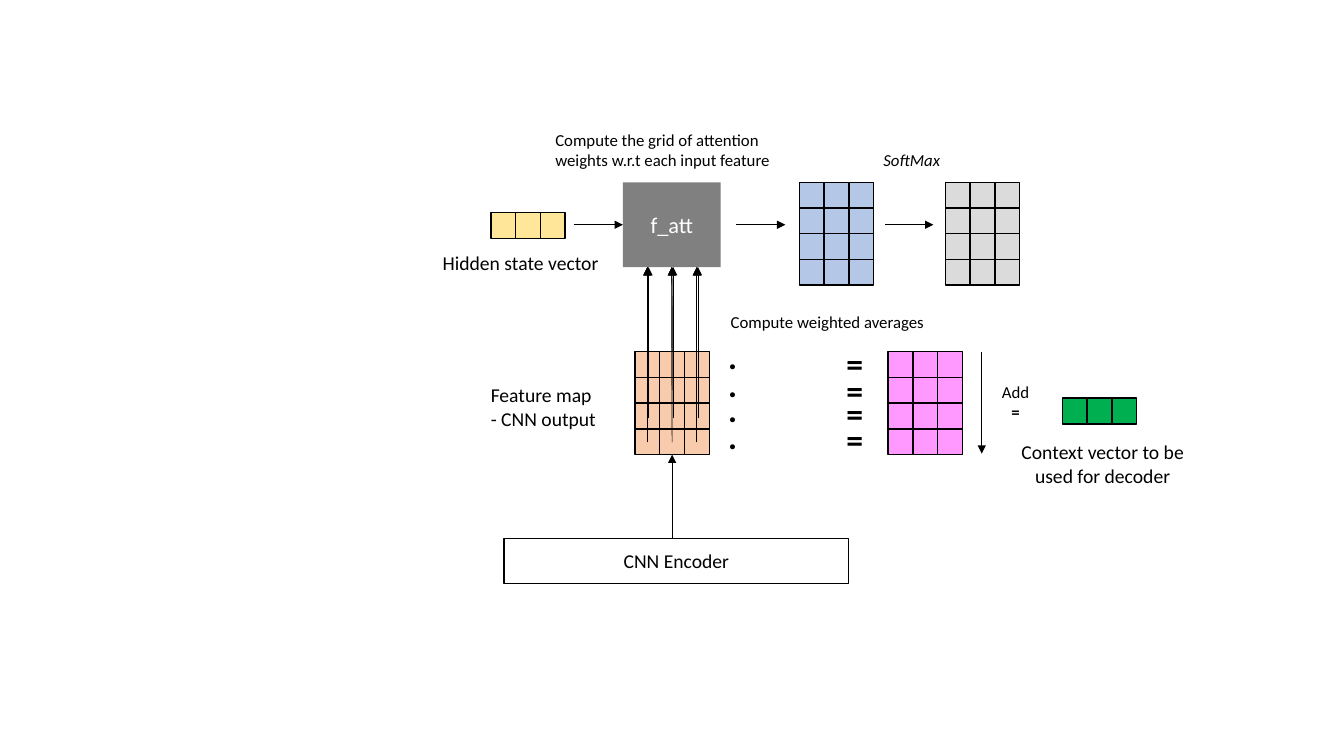
from dataclasses import dataclass
from lxml import etree
from pptx import Presentation
from pptx.dml.color import RGBColor
from pptx.enum.shapes import MSO_CONNECTOR, MSO_SHAPE
from pptx.enum.text import MSO_ANCHOR, PP_ALIGN
from pptx.oxml.ns import qn
from pptx.util import Inches, Pt

RECT, STRAIGHT = MSO_SHAPE.RECTANGLE, MSO_CONNECTOR.STRAIGHT
LEFT, CENTER, MIDDLE = PP_ALIGN.LEFT, PP_ALIGN.CENTER, MSO_ANCHOR.MIDDLE
SIDE_LEFT, SIDE_BOTTOM, SIDE_TOP = 1, 2, 0


@dataclass(frozen=True)
class Theme:
    font: str = "Calibri"
    ink: str = "000000"
    paper: str = "FFFFFF"
    block: str = "808080"
    hidden: str = "FFE699"
    feature: str = "F8CBAD"
    weights: str = "B4C7E7"
    softmax: str = "DBDBDB"
    weighted: str = "FF99FF"
    context: str = "00B050"
    small: int = 12
    body: int = 14
    large: int = 16
    sign: int = 24
    outline: float = 1
    arrow: float = 0.5


T = Theme()

# Positions are percentages of the slide's width and height.
COLS, CELL_W, CELL_H = 3, 1.84, 3.4
GRIDS = {
    "feature": (47.25, 46.53, 4),
    "weights": (59.48, 24.13, 4),
    "softmax": (70.35, 24.13, 4),
    "weighted": (66.08, 46.53, 4),
    "hidden": (36.53, 28.13, 1),
    "context": (79.05, 52.67, 1),
}
ENCODER = ("CNN Encoder", (37.5, 71.2, 25.65, 6))
ATTENTION = ("f_att", (46.35, 24.13, 7.28, 11.2))
ARROWS = [
    (54.75, 29.73, 58.43, 29.73),
    (65.85, 29.73, 69.45, 29.73),
    (73.05, 46.53, 73.05, 60),
]
HIDDEN_ARROW_X = 42.68
FEATURE_STARTS = [(46.53, 0), (51.6, 0), (55.33, 0.08), (58.53, 0)]

LABELS = [
    (["Add", "="], (73.8, 49.87, 3.53, 6.67), T.small, CENTER),
    (["Context vector to be used for decoder"], (74.4, 57.6, 15.3, 7.6), T.body, CENTER),
    (["Feature map", "- CNN output"], (35.78, 50, 9.6, 7.6), T.body, LEFT),
    (["Hidden state vector"], (31.35, 32.53, 14.78, 4.53), T.body, CENTER),
    (["SoftMax"], (64.95, 19.2, 5.78, 4), T.small, CENTER),
    (["Compute the grid of attention weights w.r.t each input feature"],
     (40.58, 16.53, 17.78, 6.67), T.small, LEFT),
    (["Compute weighted averages"], (53.63, 40.53, 16.58, 4), T.small, LEFT),
]
SIGNS = [
    (".", 53.44, 1.88, LEFT, [43.73, 47.47, 50.8, 54.4]),
    ("=", 62.33, 2.55, CENTER, [44.67, 48.27, 51.33, 54.8]),
]
BOLD, ITALIC = {".", "="}, {"SoftMax"}

prs = Presentation()
prs.slide_width, prs.slide_height = Inches(13.33), Inches(7.5)
s = prs.slides.add_slide(prs.slide_layouts[6])


def place(*shares):
    sizes = (prs.slide_width, prs.slide_height) * 2
    return [round(size * share / 100) for size, share in zip(sizes, shares)]


def write(tf, lines, size, color, align):
    tf.word_wrap = True
    tf.text = "\n".join(lines)
    for p in tf.paragraphs:
        p.alignment = align
        for r in p.runs:
            r.font.name, r.font.size = T.font, Pt(size)
            r.font.color.rgb = RGBColor.from_string(color)
            r.font.bold, r.font.italic = r.text in BOLD, r.text in ITALIC


def add_rect(box, fill, outline=True):
    sp = s.shapes.add_shape(RECT, *place(*box))
    sp.shadow.inherit = False
    sp.fill.solid()
    sp.fill.fore_color.rgb = RGBColor.from_string(fill)
    if outline:
        sp.line.color.rgb = RGBColor.from_string(T.ink)
        sp.line.width = Pt(T.outline)
    else:
        sp.line.fill.background()
    return sp


def add_block(block, fill, color, size, outline):
    text, box = block
    sp = add_rect(box, fill, outline)
    sp.text_frame.vertical_anchor = MIDDLE
    write(sp.text_frame, [text], size, color, CENTER)
    return sp


def add_grid(name):
    x, y, rows = GRIDS[name]
    return [[add_rect((x + col * CELL_W, y + row * CELL_H, CELL_W, CELL_H), getattr(T, name))
             for col in range(COLS)] for row in range(rows)]


def add_arrow(x1, y1, x2, y2):
    cx = s.shapes.add_connector(STRAIGHT, *place(x1, y1, x2, y2))
    cx.line.color.rgb = RGBColor.from_string(T.ink)
    cx.line.width = Pt(T.arrow)
    etree.SubElement(cx.line._get_or_add_ln(), qn("a:tailEnd"), type="triangle")
    etree.SubElement(cx._element.spPr, qn("a:effectLst"))
    return cx


def add_label(lines, box, size, align):
    tb = s.shapes.add_textbox(*place(*box))
    tf = tb.text_frame
    if align == CENTER:
        tf.margin_left = tf.margin_right = Inches(0.05)
    write(tf, lines, size, T.ink, align)


grids = {name: add_grid(name) for name in GRIDS}
encoder = add_block(ENCODER, T.paper, T.ink, T.body, True)
attention = add_block(ATTENTION, T.block, T.paper, T.large, False)

att_x, att_y, att_w, att_h = ATTENTION[1]
att_mid, att_bottom = att_y + att_h / 2, att_y + att_h
feat_x, feat_y, feat_rows = GRIDS["feature"]
lanes = [feat_x + (col + 0.5) * CELL_W for col in range(COLS)]
center = COLS // 2

add_arrow(HIDDEN_ARROW_X, att_mid, att_x, att_mid).end_connect(attention, SIDE_LEFT)
for arrow in ARROWS:
    add_arrow(*arrow)
cx = add_arrow(lanes[center], ENCODER[1][1], lanes[center], feat_y + feat_rows * CELL_H)
cx.end_connect(grids["feature"][-1][center], SIDE_BOTTOM)

for start, shift in FEATURE_STARTS:
    for col, lane in enumerate(lanes):
        cx = add_arrow(lane + shift, start, lane + shift, att_bottom)
        if start == feat_y:
            cx.begin_connect(grids["feature"][0][col], SIDE_TOP)
        if col == center and not shift:
            cx.end_connect(attention, SIDE_BOTTOM)

for label in LABELS:
    add_label(*label)
for sign, x, width, align, tops in SIGNS:
    for top in tops:
        add_label([sign], (x, top, width, 6.67), T.sign, align)

prs.save("out.pptx")
